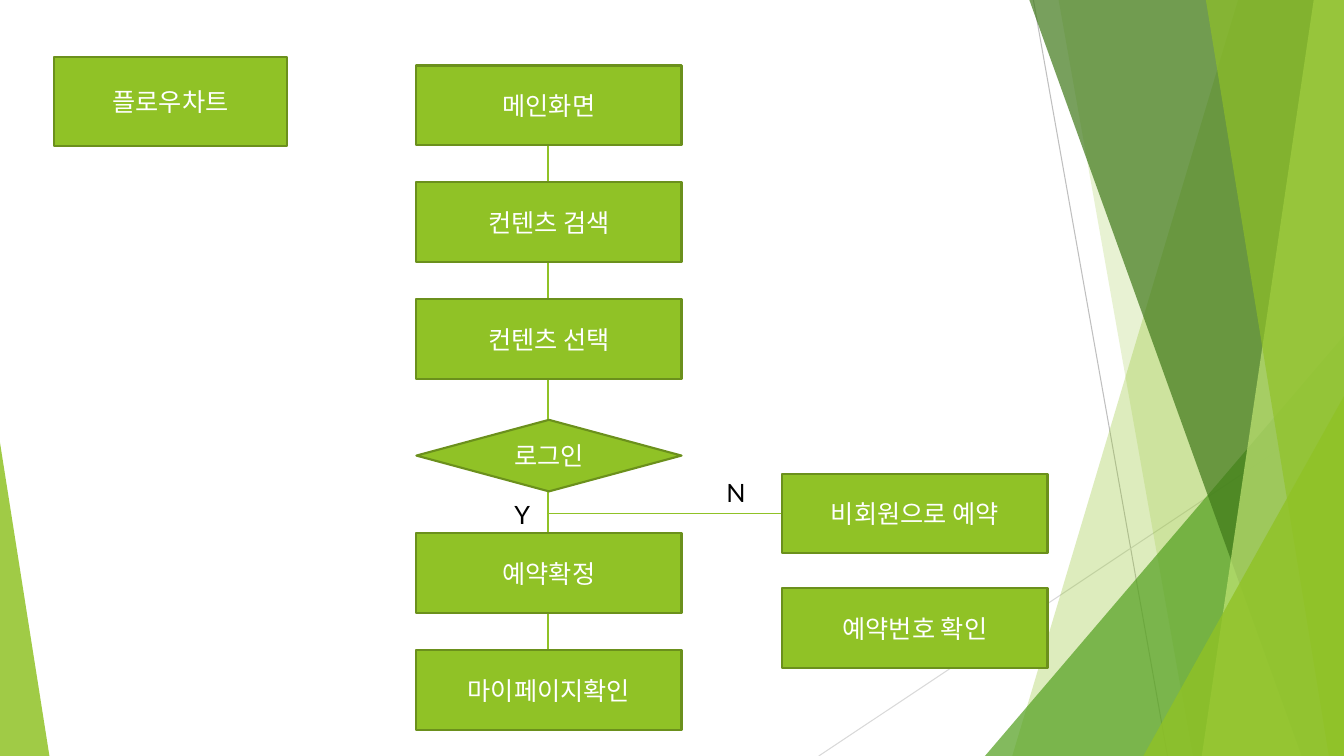
import pptx
import pptx.dml.color
import pptx.enum.shapes
import pptx.enum.text
import pptx.oxml.ns
import pptx.util
from lxml import etree

SHAPE = pptx.enum.shapes.MSO_SHAPE
WIDTH, HEIGHT = 13.33, 7.5
BOX_W, BOX_H = 2.63, 0.79


def color(value):
    return pptx.dml.color.RGBColor.from_string(value)


def percent(x, y):
    """Point given in percent of the slide's width and height."""
    return (pptx.util.Inches(WIDTH * x / 100),
            pptx.util.Inches(HEIGHT * y / 100))


def cell(col, row):
    """Point on the flowchart grid; whole numbers are box corners."""
    return (pptx.util.Inches(4.13 + 3.63 * col),
            pptx.util.Inches(0.65 + 1.16 * row))


def write(sp, text, size=18, font="Lato", ink="FFFFFF", wrap=True,
          anchor=pptx.enum.text.MSO_ANCHOR.MIDDLE,
          fit=pptx.enum.text.MSO_AUTO_SIZE.NONE):
    tf = sp.text_frame
    tf.word_wrap = wrap
    tf.auto_size = fit
    tf.vertical_anchor = anchor
    p = tf.paragraphs[0]
    p.alignment = pptx.enum.text.PP_ALIGN.CENTER
    r = p.add_run()
    r.text = text
    r.font.size = pptx.util.Pt(size)
    r.font.name = font
    r.font.color.rgb = color(ink)


class FlowSlide:
    green, border = "90C226", "6B901C"

    def __init__(self, prs):
        self.s = prs.slides.add_slide(prs.slide_layouts[5])
        self.shapes = self.s.shapes

    def line(self, start, end, ink=green, width=1):
        cn = self.shapes.add_connector(
            pptx.enum.shapes.MSO_CONNECTOR.STRAIGHT, *start, *end)
        cn.line.color.rgb = color(ink)
        cn.line.width = pptx.util.Pt(width)
        etree.SubElement(cn._element.spPr, pptx.oxml.ns.qn("a:effectLst"))

    def glass(self, sp, fill, opacity):
        """Fill without outline, opacity in percent."""
        sp.shadow.inherit = False
        sp.line.fill.background()
        sp.fill.solid()
        sp.fill.fore_color.rgb = color(fill)
        tone = sp._element.spPr.find(".//" + pptx.oxml.ns.qn("a:srgbClr"))
        alpha = etree.SubElement(tone, pptx.oxml.ns.qn("a:alpha"))
        alpha.set("val", str(opacity * 1000))

    def band(self, top_x, bottom_x, fill, opacity):
        """Full-height facet that ends at the right edge."""
        fb = self.shapes.build_freeform(*percent(top_x, 0))
        fb.add_line_segments(
            [percent(100, 0), percent(100, 100), percent(bottom_x, 100)])
        self.glass(fb.convert_to_shape(), fill, opacity)

    def corner(self, left, right, top, apex, fill, opacity):
        """Right triangle standing on the bottom edge."""
        sp = self.shapes.add_shape(
            SHAPE.ISOSCELES_TRIANGLE, *percent(left, top),
            *percent(right - left, 100 - top))
        sp.adjustments[0] = apex
        self.glass(sp, fill, opacity)

    def frame(self, sp, text):
        sp.fill.solid()
        sp.fill.fore_color.rgb = color(self.green)
        sp.line.color.rgb = color(self.border)
        sp.line.width = pptx.util.Pt(1.5)
        write(sp, text)

    def title(self, text, col, row, width, height):
        sp = self.shapes.title
        sp.left, sp.top = cell(col, row)
        sp.width, sp.height = pptx.util.Inches(width), pptx.util.Inches(height)
        self.frame(sp, text)

    def step(self, text, col, row, kind=SHAPE.RECTANGLE, height=BOX_H):
        sp = self.shapes.add_shape(
            kind, *cell(col, row),
            pptx.util.Inches(BOX_W), pptx.util.Inches(height))
        sp.shadow.inherit = False
        self.frame(sp, text)

    def label(self, text, col, row):
        sp = self.shapes.add_textbox(
            *cell(col, row), pptx.util.Inches(0.36), pptx.util.Inches(0.4))
        write(sp, text, ink="000000", wrap=False,
              anchor=pptx.enum.text.MSO_ANCHOR.TOP,
              fit=pptx.enum.text.MSO_AUTO_SIZE.SHAPE_TO_FIT_TEXT)


def main():
    prs = pptx.Presentation()
    prs.slide_width = pptx.util.Inches(WIDTH)
    prs.slide_height = pptx.util.Inches(HEIGHT)
    flow = FlowSlide(prs)

    # Faceted background
    flow.line(percent(76.89, 0), percent(86.87, 100), "BFBFBF", 0.75)
    flow.line(percent(100, 53.73), percent(60.92, 100), "D9D9D9", 0.75)
    flow.band(92.12, 75.32, "90C226", 30)
    flow.band(78.77, 88.75, "90C226", 20)
    flow.corner(73.29, 100, 44.4, 1, "54A021", 72)
    flow.band(76.59, 96.85, "3F7819", 70)
    flow.band(97.75, 89.42, "C0E474", 70)
    flow.band(89.72, 98.87, "90C226", 65)
    flow.corner(85.07, 100, 52.4, 1, "90C226", 80)
    flow.corner(0, 3.68, 58.53, 0, "90C226", 85)

    # Title box
    flow.title("플로우차트", -0.99, -0.07, 2.31, 0.88)

    # Connecting lines: main path and the branch for "N"
    flow.line(cell(0.36, 0.69), cell(0.36, 5))
    flow.line(cell(0.36, 3.83), cell(1, 3.83))

    # Steps of the main path
    for row, text in {0: "메인화면", 1: "컨텐츠 검색", 2: "컨텐츠 선택",
                      4: "예약확정", 5: "마이페이지확인"}.items():
        flow.step(text, 0, row)
    flow.step("로그인", 0, 3.03, SHAPE.FLOWCHART_DECISION, 0.71)

    # Branch for guests
    flow.step("비회원으로 예약", 1, 3.49)
    flow.step("예약번호 확인", 1, 4.47)

    # Answers of the decision
    flow.label("N", 0.82, 3.48)
    flow.label("Y", 0.24, 3.67)

    prs.save("out.pptx")


if __name__ == "__main__":
    main()
